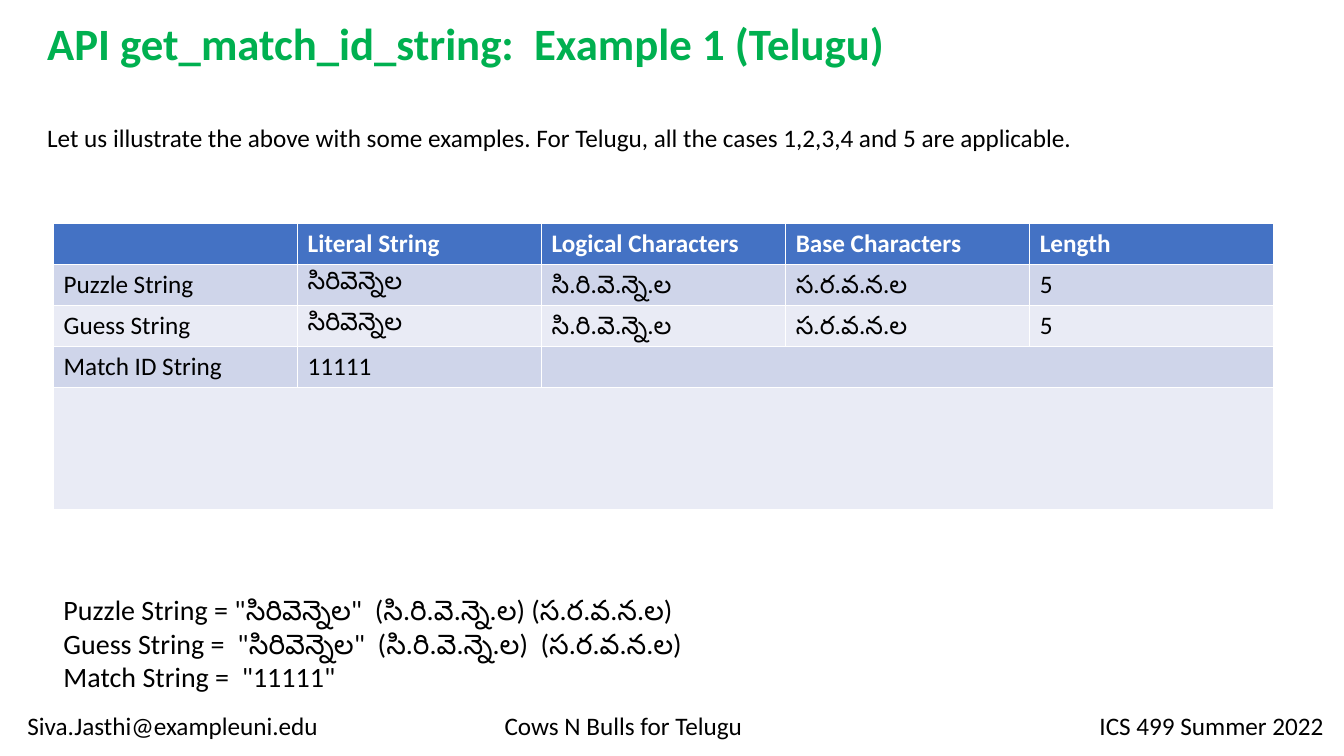
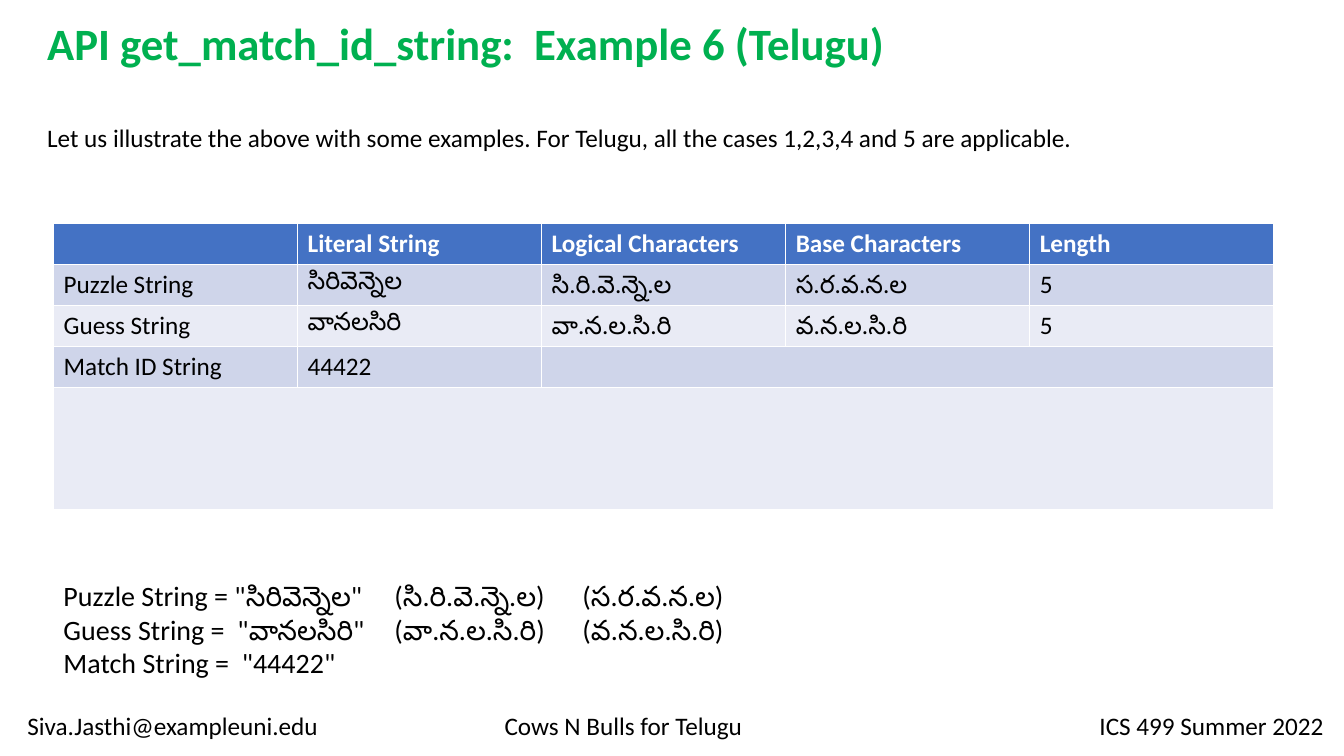
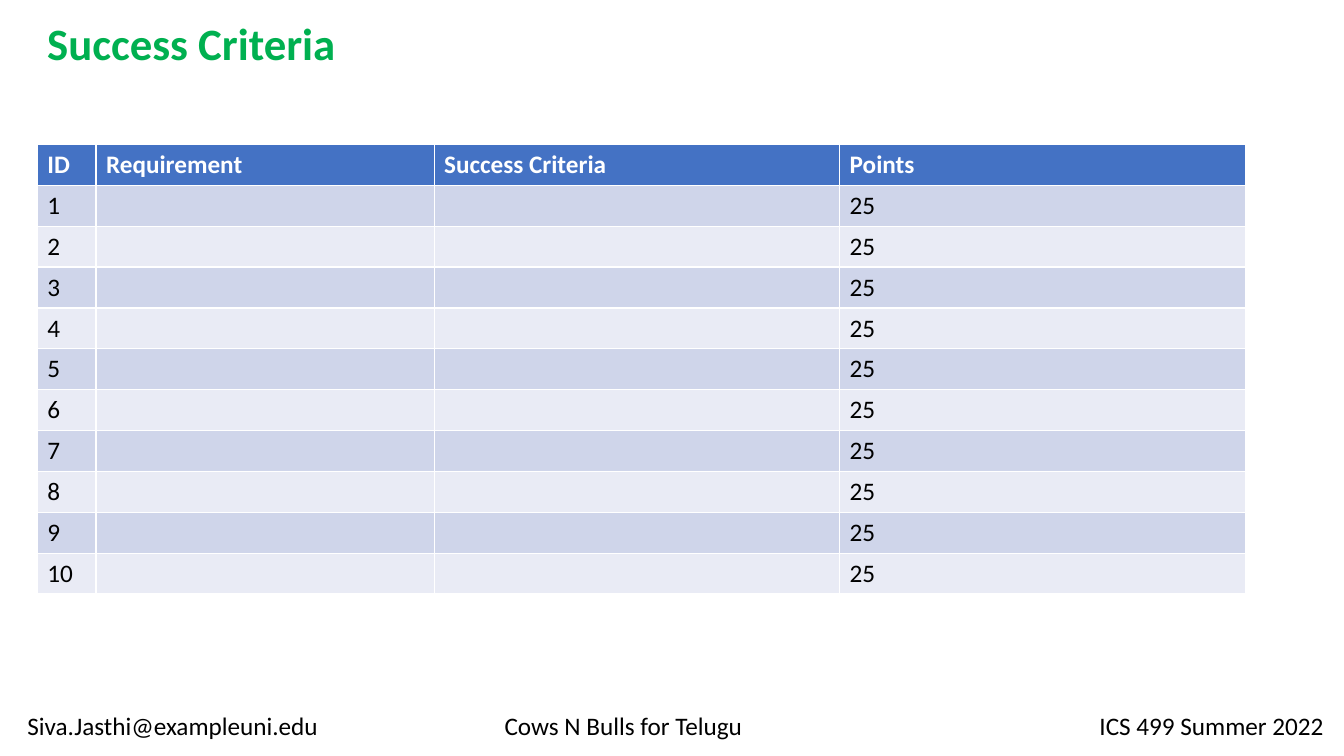
"""Build three slides on match strings and success criteria."""
import pptx
import pptx.dml.color
import pptx.enum.text
import pptx.oxml.ns
import pptx.util
from lxml import etree

Cm = pptx.util.Cm
RGBColor = pptx.dml.color.RGBColor

FONT = "Calibri"
GREEN = RGBColor(0x00, 0xB0, 0x50)
BLACK = RGBColor(0x00, 0x00, 0x00)
WHITE = RGBColor(0xFF, 0xFF, 0xFF)
HEADER_BLUE = RGBColor(0x44, 0x72, 0xC4)
BANDS = (RGBColor(0xCF, 0xD5, 0xEA), RGBColor(0xE9, 0xEB, 0xF5))

FOOTER = "Siva.Jasthi@exampleuni.edu\tCows N Bulls for Telugu\tICS 499 Summer 2022"
FOOTER_TABS = [(15.02, "ctr"), (32.67, "r")]
INTRO = ("Let us illustrate the above with some examples. "
         "For Telugu, all the cases 1,2,3,4 and 5 are applicable.")
EXAMPLE_HEADER = ["", "Literal String", "Logical Characters", "Base Characters", "Length"]
PUZZLE = ["Puzzle String", "సిరివెన్నెల", "సి.రి.వె.న్నె.ల", "స.ర.వ.న.ల", "5"]

EXAMPLES = [
    {
        "title": "API get_match_id_string:  Example 1 (Telugu)",
        "guess": ["Guess String", "సిరివెన్నెల", "సి.రి.వె.న్నె.ల", "స.ర.వ.న.ల", "5"],
        "match": "11111",
        "summary": [
            'Puzzle String = "సిరివెన్నెల"  (సి.రి.వె.న్నె.ల) (స.ర.వ.న.ల)',
            'Guess String =  "సిరివెన్నెల"  (సి.రి.వె.న్నె.ల)  (స.ర.వ.న.ల)',
            'Match String =  "11111"',
        ],
        "summary_box": (1.35, 14.81, 16.94, 2.82),
        "summary_tabs": [],
    },
    {
        "title": "API get_match_id_string:  Example 6 (Telugu)",
        "guess": ["Guess String", "వానలసిరి", "వా.న.ల.సి.రి", "వ.న.ల.సి.రి", "5"],
        "match": "44422",
        "summary": [
            'Puzzle String = "సిరివెన్నెల"\t(సి.రి.వె.న్నె.ల)\t(స.ర.వ.న.ల)',
            'Guess String =  "వానలసిరి"\t(వా.న.ల.సి.రి)\t(వ.న.ల.సి.రి)',
            'Match String =  "44422"',
        ],
        "summary_box": (1.35, 14.45, 20.37, 2.82),
        "summary_tabs": [(8.34, "l"), (13.08, "l")],
    },
]

CRITERIA_TITLE = "Success Criteria"
CRITERIA_ROWS = [["ID", "Requirement", "Success Criteria", "Points"]]
CRITERIA_ROWS += [[str(number), "", "", "25"] for number in range(1, 11)]

ROW_HEIGHT = 1.03
EXAMPLE_COLUMNS = [6.15] * 5
EXAMPLE_HEIGHTS = [ROW_HEIGHT] * 4 + [3.09]
CRITERIA_COLUMNS = [1.48, 8.52, 10.22, 10.22]


def style_paragraph(paragraph, size, color=BLACK, bold=False):
    font = paragraph.font
    font.name, font.size, font.bold = FONT, pptx.util.Pt(size), bold
    font.color.rgb = color


def add_tabs(paragraph, tabs):
    qn = pptx.oxml.ns.qn
    tab_list = etree.SubElement(paragraph._p.get_or_add_pPr(), qn("a:tabLst"))
    for position, alignment in tabs:
        etree.SubElement(tab_list, qn("a:tab"), pos=str(Cm(position)), algn=alignment)


def add_text(slide, box, lines, size, color=BLACK, bold=False, tabs=()):
    frame = slide.shapes.add_textbox(*map(Cm, box)).text_frame
    frame.word_wrap = True
    frame.text = "\n".join(lines)
    for paragraph in frame.paragraphs:
        if tabs:
            add_tabs(paragraph, tabs)
        style_paragraph(paragraph, size, color, bold)
    return frame


def add_grid(slide, left, top, rows, widths, heights):
    table = slide.shapes.add_table(len(rows), len(widths), Cm(left), Cm(top),
                                   Cm(sum(widths)), Cm(sum(heights))).table
    for column, width in zip(table.columns, widths):
        column.width = Cm(width)
    for index, (texts, height) in enumerate(zip(rows, heights)):
        table.rows[index].height = Cm(height)
        header = index == 0
        for position, text in enumerate(texts):
            cell = table.cell(index, position)
            cell.text = text
            cell.fill.solid()
            cell.fill.fore_color.rgb = HEADER_BLUE if header else BANDS[(index - 1) % 2]
            style_paragraph(cell.text_frame.paragraphs[0], 18,
                            WHITE if header else BLACK, header)
    return table


def add_slide(presentation, title, title_width):
    slide = presentation.slides.add_slide(presentation.slide_layouts[6])
    footer = add_text(slide, (0.28, 17.63, 33.59, 1.42), [FOOTER], 18, tabs=FOOTER_TABS)
    footer.margin_left = Cm(0.41)
    footer.vertical_anchor = pptx.enum.text.MSO_ANCHOR.MIDDLE
    footer.paragraphs[0].line_spacing = 0.9
    add_text(slide, (0.94, 0.28, title_width, 1.63), [title], 32, GREEN, True)
    return slide


def add_example(presentation, example):
    slide = add_slide(presentation, example["title"], 26.57)
    add_text(slide, (0.94, 2.95, 29.44, 1.8), [INTRO], 18)
    rows = [EXAMPLE_HEADER, PUZZLE, example["guess"],
            ["Match ID String", example["match"], "", "", ""], [""] * 5]
    table = add_grid(slide, 1.35, 5.64, rows, EXAMPLE_COLUMNS, EXAMPLE_HEIGHTS)
    for row, first_column in ((3, 2), (4, 0)):
        table.cell(row, first_column).merge(table.cell(row, 4))
    add_text(slide, example["summary_box"], example["summary"], 20,
             tabs=example["summary_tabs"])


presentation = pptx.Presentation()
presentation.slide_width, presentation.slide_height = Cm(33.87), Cm(19.05)
for example in EXAMPLES:
    add_example(presentation, example)
criteria_slide = add_slide(presentation, CRITERIA_TITLE, 31.37)
add_grid(criteria_slide, 0.94, 3.64, CRITERIA_ROWS, CRITERIA_COLUMNS,
         [ROW_HEIGHT] * len(CRITERIA_ROWS))
presentation.save("out.pptx")
